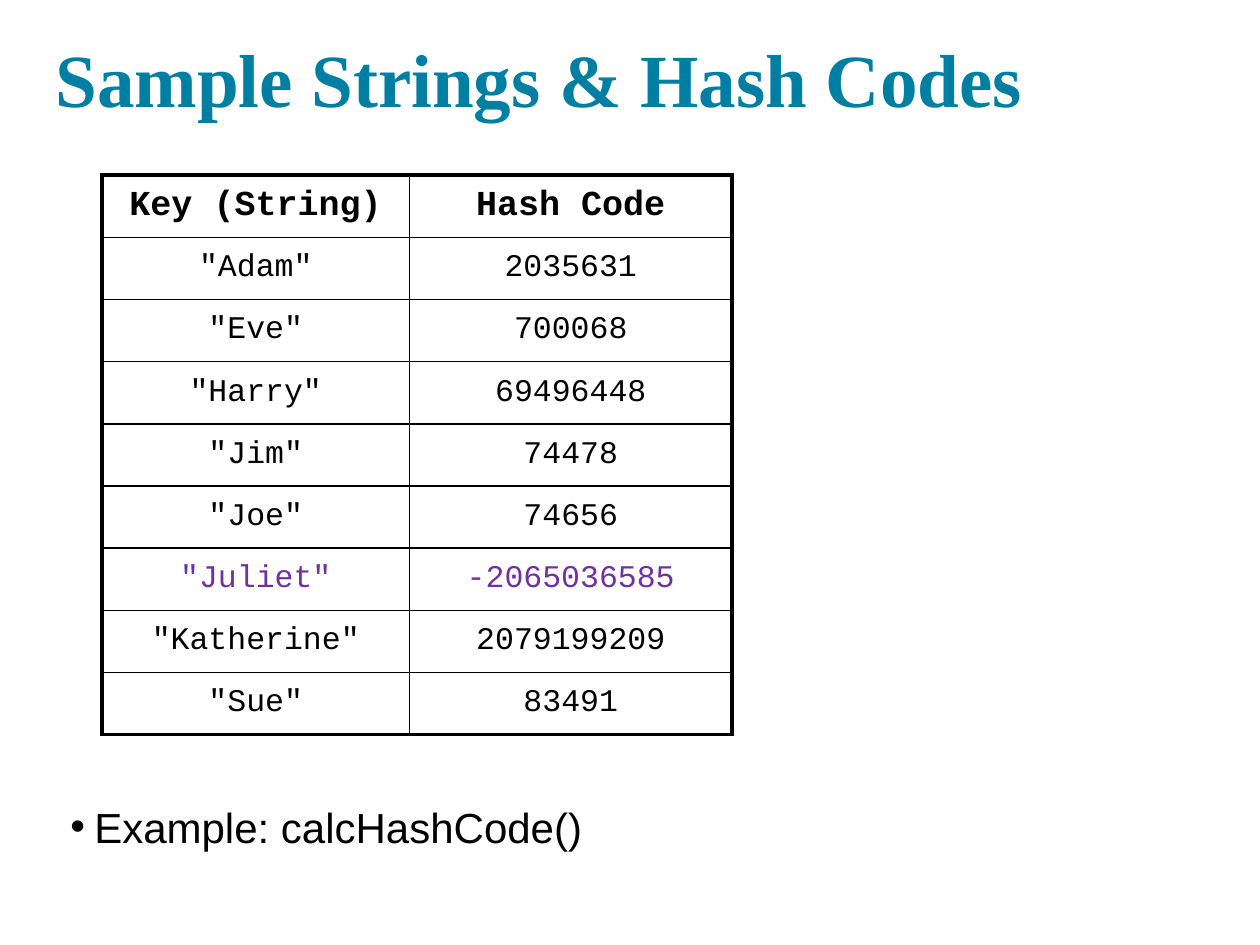
"""Build the slide of sample strings and their hash codes."""
from lxml import etree
from pptx import Presentation
from pptx.dml.color import RGBColor
from pptx.enum.text import MSO_ANCHOR, MSO_AUTO_SIZE, PP_ALIGN
from pptx.oxml import parse_xml
from pptx.oxml.ns import nsdecls, qn
from pptx.util import Inches, Pt

LEFT, CENTER = PP_ALIGN.LEFT, PP_ALIGN.CENTER
MIDDLE = MSO_ANCHOR.MIDDLE
BLACK, TEAL, PURPLE = "000000", "007FA3", "7030A0"
THIN, THICK = 1, 2.25
ROWS = [
    ("Key (String)", "Hash Code"),
    ('"Adam"', "2035631"),
    ('"Eve"', "700068"),
    ('"Harry"', "69496448"),
    ('"Jim"', "74478"),
    ('"Joe"', "74656"),
    ('"Juliet"', "-2065036585"),
    ('"Katherine"', "2079199209"),
    ('"Sue"', "83491"),
]
COLUMN_WIDTHS = [2.44, 2.56]
TABLE_HEIGHT = 4.44


def write_text(frame, text, *, font, size, color=BLACK, bold=False, align=LEFT, bullet=None):
    paragraph = frame.paragraphs[0]
    paragraph.text = text
    paragraph.alignment = align
    if bullet:
        properties = paragraph._p.get_or_add_pPr()
        properties.set("marL", str(Inches(0.19)))
        properties.set("indent", str(-Inches(0.19)))
        etree.SubElement(properties, qn("a:buFont")).set("typeface", font)
        etree.SubElement(properties, qn("a:buChar")).set("char", bullet)
    run_font = paragraph.runs[0].font
    run_font.name = font
    run_font.size = Pt(size)
    run_font.bold = bold
    run_font.color.rgb = RGBColor.from_string(color)


def set_borders(cell, widths):
    properties = cell._tc.get_or_add_tcPr()
    for index, (side, width) in enumerate(widths.items()):
        properties.insert(index, parse_xml(
            f'<a:ln{side} {nsdecls("a")} w="{Pt(width)}"><a:solidFill>'
            f'<a:srgbClr val="{BLACK}"/></a:solidFill></a:ln{side}>'))


presentation = Presentation()
presentation.slide_width = Inches(10)
presentation.slide_height = Inches(7.5)
slide = presentation.slides.add_slide(presentation.slide_layouts[5])

title = slide.shapes.title
title.left, title.top = Inches(0.34), Inches(0.17)
title.width, title.height = Inches(9.31), Inches(0.89)
title.text_frame.vertical_anchor = MIDDLE
write_text(title.text_frame, "Sample Strings & Hash Codes",
           font="Times New Roman", size=42.9, color=TEAL, bold=True)

table = slide.shapes.add_table(
    len(ROWS), len(COLUMN_WIDTHS), Inches(0.81), Inches(1.39),
    Inches(sum(COLUMN_WIDTHS)), Inches(TABLE_HEIGHT)).table
table.horz_banding = False
for column, width in zip(table.columns, COLUMN_WIDTHS):
    column.width = Inches(width)

last_row, last_column = len(ROWS) - 1, len(COLUMN_WIDTHS) - 1
for row_index, values in enumerate(ROWS):
    table.rows[row_index].height = Inches(TABLE_HEIGHT / len(ROWS))
    is_header = row_index == 0
    for column_index, value in enumerate(values):
        cell = table.cell(row_index, column_index)
        cell.vertical_anchor = MIDDLE
        cell.fill.background()
        set_borders(cell, {
            "L": THICK if column_index == 0 else THIN,
            "R": THICK if column_index == last_column else THIN,
            "T": THICK if is_header else THIN,
            "B": THICK if row_index == last_row else THIN,
        })
        write_text(cell.text_frame, value, font="Courier New",
                   size=20 if is_header else 18, bold=is_header, align=CENTER,
                   color=PURPLE if values[0] == '"Juliet"' else BLACK)

example = slide.shapes.add_textbox(Inches(0.46), Inches(6.31), Inches(4.31), Inches(0.5))
example.text_frame.word_wrap = False
example.text_frame.auto_size = MSO_AUTO_SIZE.SHAPE_TO_FIT_TEXT
write_text(example.text_frame, "Example: calcHashCode()", font="Arial", size=24, bullet="•")

presentation.save("out.pptx")
